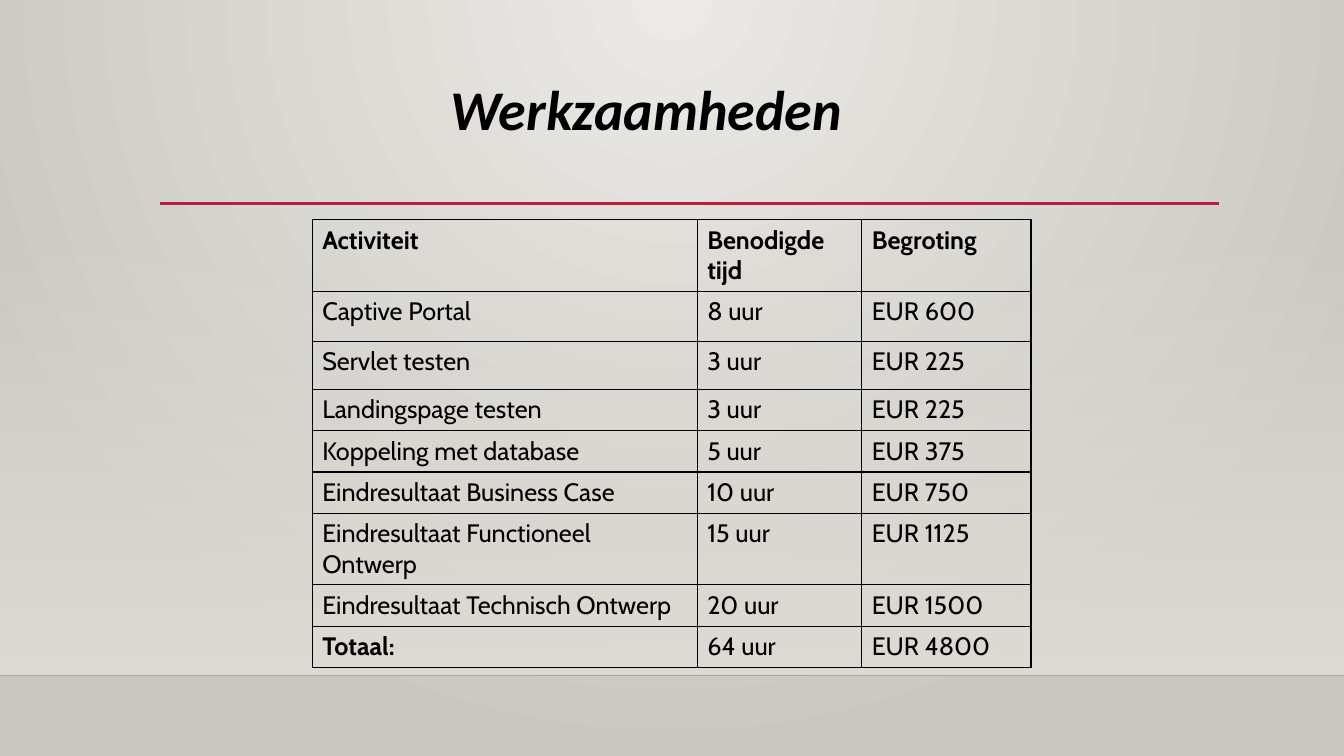
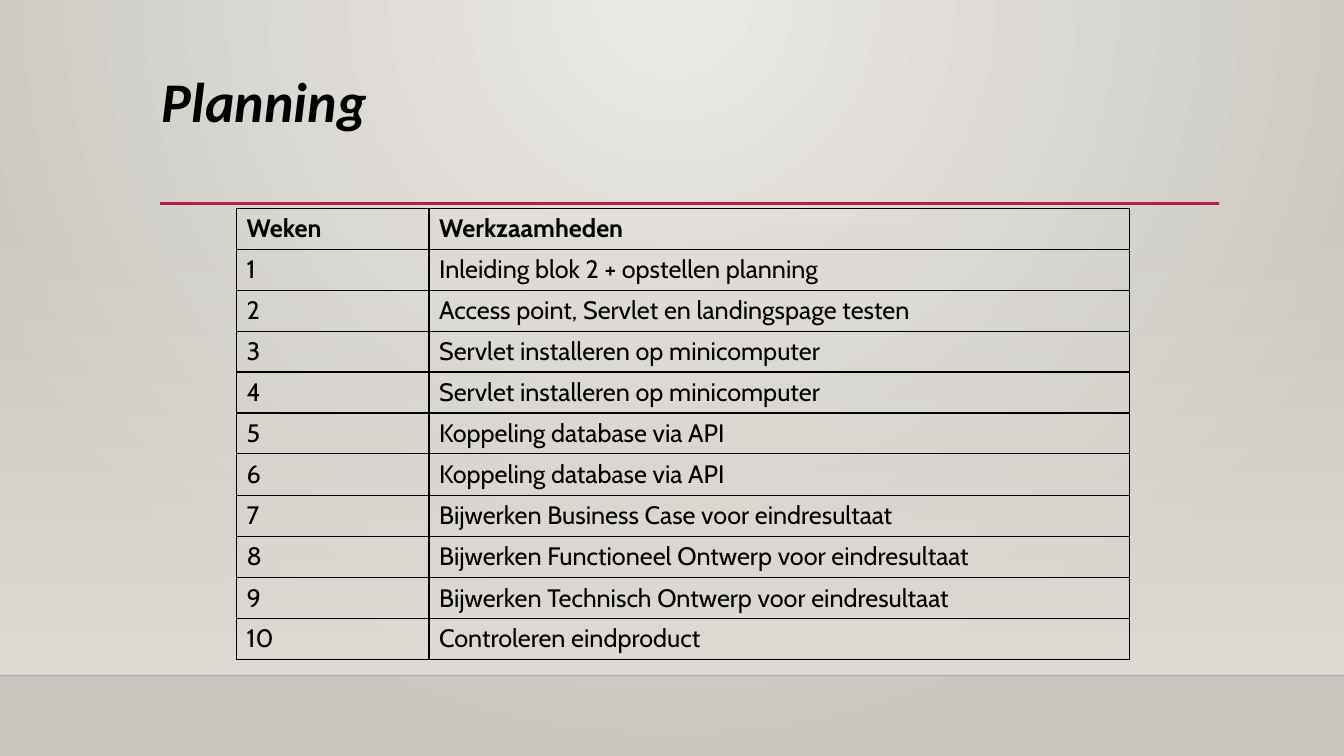
from dataclasses import dataclass

from pptx import Presentation
from pptx.dml.color import RGBColor
from pptx.enum import shapes, text
from pptx.oxml import parse_xml
from pptx.oxml import ns
from pptx.util import Pt


@dataclass(frozen=True)
class Theme:
    glow: str = "ECEAE7"
    wall: str = "CAC7C1"
    haze: str = "DFDBD5"
    accent: str = "B71E42"
    edge: str = "000001"
    ink: str = "000000"
    title_font: str = "Calibri"
    table_font: str = "Cabin"
    title_size: float = 40
    table_size: float = 18


THEME = Theme()
WIDTH, HEIGHT = 960, 540
FLOOR = 482.5
LINE_ROW = 29
TALL_ROW = 29.5
DOUBLE_ROW = 51

ACTIVITIES = [
    ("Activiteit", "Benodigde tijd", "Begroting"),
    ("Captive Portal", "8 uur", "EUR 600"),
    ("Servlet testen", "3 uur", "EUR 225"),
    ("Landingspage testen", "3 uur", "EUR 225"),
    ("Koppeling met database", "5 uur", "EUR 375"),
    ("Eindresultaat Business Case", "10 uur", "EUR 750"),
    ("Eindresultaat Functioneel Ontwerp", "15 uur", "EUR 1125"),
    ("Eindresultaat Technisch Ontwerp", "20 uur", "EUR 1500"),
    ("Totaal:", "64 uur", "EUR 4800"),
]
WEEK_TASKS = [
    "Inleiding blok 2 + opstellen planning",
    "Access point, Servlet en landingspage testen",
    "Servlet installeren op minicomputer",
    "Servlet installeren op minicomputer",
    "Koppeling database via API",
    "Koppeling database via API",
    "Bijwerken Business Case voor eindresultaat",
    "Bijwerken Functioneel Ontwerp voor eindresultaat",
    "Bijwerken Technisch Ontwerp voor eindresultaat",
    "Controleren eindproduct",
]


def rgb(colour):
    return RGBColor.from_string(colour)


def xml(tag, attributes="", children=""):
    return parse_xml(f"<a:{tag} {ns.nsdecls('a')} {attributes}>{children}</a:{tag}>")


def set_alpha(element, colour, percent):
    """Make every use of a colour below an element see-through; return nothing."""
    for node in element.iter(ns.qn("a:srgbClr")):
        if node.get("val") == colour:
            node.append(xml("alpha", f'val="{percent * 1000}"'))
            break


def set_gradient(fill, first, last):
    fill.gradient()
    for stop, colour, position in zip(fill.gradient_stops, (first, last), (0, 1)):
        stop.color.rgb = rgb(colour)
        stop.position = position


def write(frame, content, *, font, size, bold=False, italic=False,
          align=text.PP_ALIGN.LEFT):
    para = frame.paragraphs[0]
    para.alignment = align
    span = para.add_run()
    span.text = content
    span.font.name = font
    span.font.size = Pt(size)
    span.font.bold = bold
    span.font.italic = italic
    span.font.color.rgb = rgb(THEME.ink)


def add_rule(page, left, right, top, colour, width):
    rule = page.shapes.add_connector(
        shapes.MSO_CONNECTOR.STRAIGHT, Pt(left), Pt(top), Pt(right), Pt(top))
    rule.line.color.rgb = rgb(colour)
    rule.line.width = Pt(width)
    rule.element.spPr.append(xml("effectLst"))
    return rule


def paint_background(master):
    """Fill the master with light that spreads from the top centre."""
    set_gradient(master.background.fill, THEME.glow, THEME.wall)
    gradient = master.element.find(".//" + ns.qn("a:gradFill"))
    direction = gradient.find(ns.qn("a:lin"))
    focus = '<a:fillToRect l="43000" r="43000" b="100000"/>'
    gradient.replace(direction, xml("path", 'path="circle"', focus))


def furnish_layout(layout, page):
    """Draw the shared scenery on a page, then hand it over to its layout."""
    haze = page.shapes.add_shape(
        shapes.MSO_SHAPE.RECTANGLE, 0, Pt(159), Pt(WIDTH), Pt(FLOOR - 159))
    haze.shadow.inherit = False
    haze.line.fill.background()
    set_gradient(haze.fill, THEME.haze, THEME.haze)
    haze.fill.gradient_angle = 270
    set_alpha(haze.element, THEME.haze, 0)

    floor_edge = add_rule(page, 0, WIDTH, FLOOR, THEME.edge, 1)
    set_alpha(floor_edge.element, THEME.edge, 20)
    title_rule = add_rule(page, 114.5, 871, 145.5, THEME.accent, 2.5)
    for item in (haze, floor_edge, title_rule):
        layout.shapes.element.append(item.element)


def add_title(page, content, left, top, width, align=text.PP_ALIGN.LEFT):
    box = page.shapes.title
    box.left, box.top, box.width, box.height = map(Pt, (left, top, width, 55.5))
    frame = box.text_frame
    frame.word_wrap = True
    frame.auto_size = text.MSO_AUTO_SIZE.NONE
    frame.vertical_anchor = text.MSO_ANCHOR.TOP
    write(frame, content, font=THEME.title_font, size=THEME.title_size,
          bold=True, italic=True, align=align)


def add_borders(cell):
    properties = cell._tc.get_or_add_tcPr()
    colour = f'<a:solidFill><a:srgbClr val="{THEME.ink}"/></a:solidFill>'
    for index, side in enumerate(("lnL", "lnR", "lnT", "lnB")):
        properties.insert(index, xml(side, f'w="{Pt(1)}"', colour))


def add_grid(page, rows, left, top, widths, heights, bold_labels=()):
    """Add a plain ruled table whose first row is bold."""
    table = page.shapes.add_table(
        len(rows), len(widths), Pt(left), Pt(top),
        Pt(sum(widths)), Pt(sum(heights))).table
    table.first_row = table.horz_banding = False
    for column, width in zip(table.columns, widths):
        column.width = Pt(width)
    for row_index, (row, height) in enumerate(zip(rows, heights)):
        table.rows[row_index].height = Pt(height)
        for column_index, content in enumerate(row):
            cell = table.cell(row_index, column_index)
            cell.fill.background()
            add_borders(cell)
            write(cell.text_frame, content, font=THEME.table_font,
                  size=THEME.table_size,
                  bold=row_index == 0 or content in bold_labels)


def main():
    deck = Presentation()
    deck.slide_width, deck.slide_height = Pt(WIDTH), Pt(HEIGHT)
    layout = deck.slide_layouts.get_by_name("Title Only")
    paint_background(deck.slide_master)

    work = deck.slides.add_slide(layout)
    furnish_layout(layout, work)
    add_title(work, "Werkzaamheden", 104.5, 49.5, 714, text.PP_ALIGN.CENTER)
    add_grid(work, ACTIVITIES, 223, 157, (275, 117.5, 121),
             [DOUBLE_ROW, 35.5, 34.5] + [TALL_ROW] * 3
             + [DOUBLE_ROW] + [TALL_ROW] * 2,
             bold_labels=("Totaal:",))

    planning = deck.slides.add_slide(layout)
    add_title(planning, "Planning", 108.5, 44, 163)
    weeks = [(str(week), task) for week, task in enumerate(WEEK_TASKS, 1)]
    add_grid(planning, [("Weken", "Werkzaamheden")] + weeks,
             169, 149, (137.5, 500.5),
             [LINE_ROW] * 6 + [TALL_ROW] * 3 + [LINE_ROW] * 2)

    deck.save("out.pptx")


if __name__ == "__main__":
    main()
